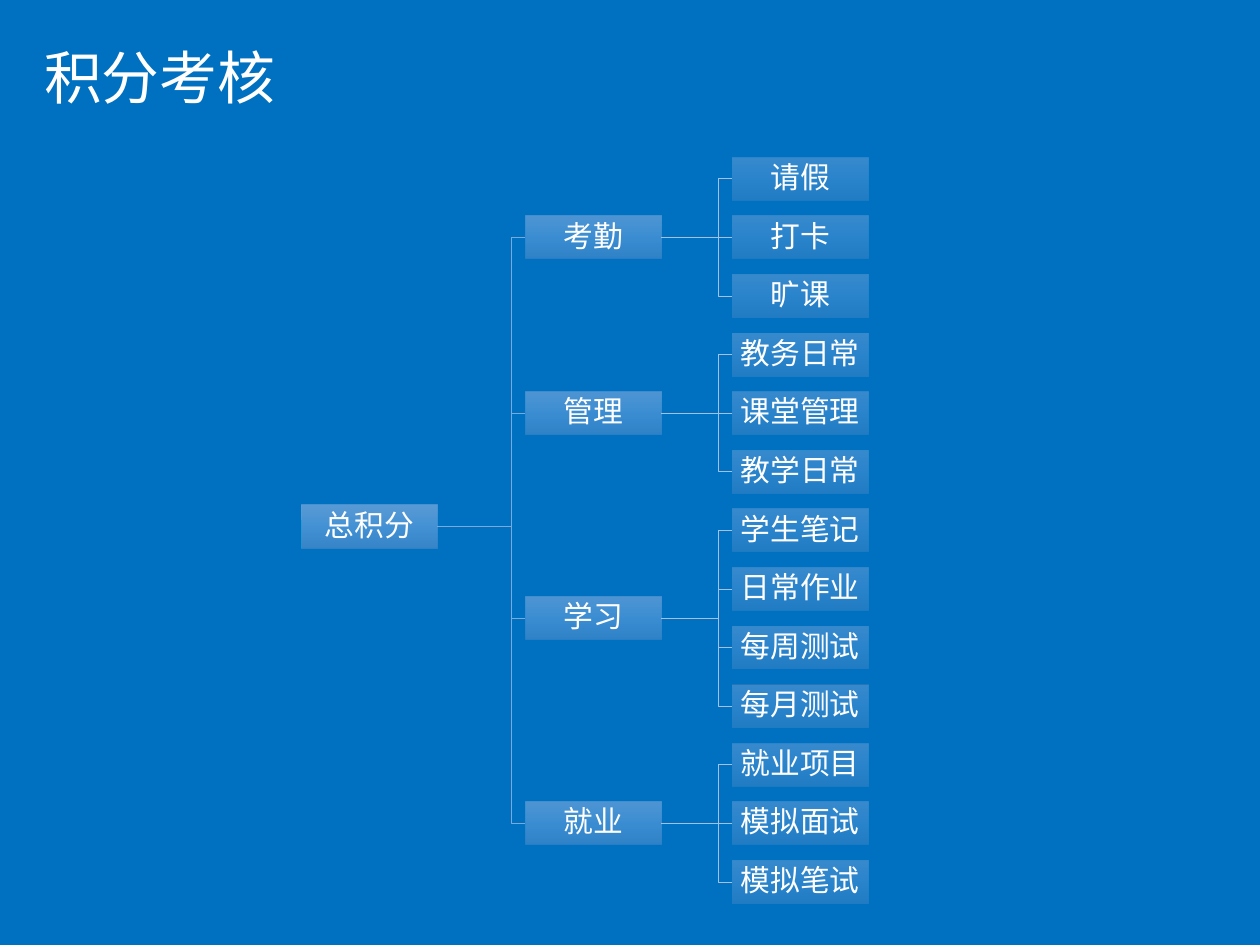
from lxml import etree
from pptx import Presentation
from pptx import util as u
from pptx.dml.color import RGBColor
from pptx.enum import shapes, text
from pptx.oxml import parse_xml
from pptx.oxml.ns import nsdecls, qn

# Content
TITLE = "积分考核"
ROOT = "总积分"
BRANCHES = [
    ("考勤", ["请假", "打卡", "旷课"]),
    ("管理", ["教务日常", "课堂管理", "教学日常"]),
    ("学习", ["学生笔记", "日常作业", "每周测试", "每月测试"]),
    ("就业", ["就业项目", "模拟面试", "模拟笔试"]),
]

# Style and grid, in inches
FONT = "Noto Sans CJK SC"
COLORS = {
    "background": "0070C0", "text": "FFFFFF",
    "root_line": "7AA9DA", "branch_line": "A5C0E3",
    "box_top": "71A6DB", "box_middle": "559BDB", "box_bottom": "448ACA",
}
BOX_WIDTH, BOX_HEIGHT = 1.08, 0.34
ROOT_LEFT, BRANCH_LEFT, LEAF_LEFT = 2.39, 4.17, 5.81
ROOT_OPACITY, BRANCH_OPACITY, LEAF_OPACITY = 80, 70, 50
ROOT_CENTER = 4.18
FIRST_LEAF_CENTER, LEAF_PITCH = 1.42, 0.465
BEND_GAP = 0.11  # from the bend to the box on its right


def color(name):
    return RGBColor.from_string(COLORS[name])


def add_text(frame, words, size):
    frame.vertical_anchor = text.MSO_ANCHOR.MIDDLE
    paragraph = frame.paragraphs[0]
    paragraph.line_spacing = 0.9
    run = paragraph.add_run()
    run.text = words
    run.font.size = u.Pt(size)
    run.font.name = FONT
    run.font.color.rgb = color("text")
    east_asian = etree.SubElement(run.font._element, qn("a:ea"))
    east_asian.set("typeface", FONT)
    return paragraph


def set_gradient(shape, opacity):
    stops = "".join(
        f'<a:gs pos="{position * 1000}"><a:srgbClr val="{COLORS[name]}">'
        f'<a:alpha val="{opacity * 1000}"/></a:srgbClr></a:gs>'
        for position, name in [(0, "box_top"), (50, "box_middle"), (100, "box_bottom")]
    )
    gradient = parse_xml(
        f'<a:gradFill {nsdecls("a")} rotWithShape="1"><a:gsLst>{stops}</a:gsLst>'
        '<a:lin ang="5400000" scaled="0"/></a:gradFill>'
    )
    shape._element.spPr.find(qn("a:prstGeom")).addnext(gradient)


def add_box(slide, words, left, center, opacity):
    shape = slide.shapes.add_shape(
        shapes.MSO_SHAPE.RECTANGLE, u.Inches(left), u.Inches(center - BOX_HEIGHT / 2),
        u.Inches(BOX_WIDTH), u.Inches(BOX_HEIGHT))
    shape.shadow.inherit = False
    shape.line.fill.background()
    set_gradient(shape, opacity)
    frame = shape.text_frame
    frame.word_wrap = True
    frame.margin_left = frame.margin_right = u.Inches(0.01)
    frame.margin_top = frame.margin_bottom = u.Inches(0.01)
    paragraph = add_text(frame, words, 17)
    paragraph.alignment = text.PP_ALIGN.CENTER
    paragraph.space_after = u.Pt(6)
    return shape


def join(slide, parent, child, line_color):
    """Line from the right side of parent to the left side of child."""
    start_x, start_y = parent.left + parent.width, parent.top + parent.height // 2
    end_x, end_y = child.left, child.top + child.height // 2
    if abs(end_y - start_y) < u.Inches(0.01):
        line = slide.shapes.add_connector(
            shapes.MSO_CONNECTOR.STRAIGHT, start_x, start_y, end_x, end_y)
        line.begin_connect(parent, 3)
        line.end_connect(child, 1)
        etree.SubElement(line._element.spPr, qn("a:effectLst"))
    else:
        bend_x = end_x - u.Inches(BEND_GAP)
        builder = slide.shapes.build_freeform(start_x, start_y)
        builder.add_line_segments(
            [(bend_x, start_y), (bend_x, end_y), (end_x, end_y)], close=False)
        line = builder.convert_to_shape()
        line.fill.background()
        line.shadow.inherit = False
    line.line.color.rgb = color(line_color)
    line.line.width = u.Pt(0.5)


def main():
    presentation = Presentation()
    presentation.slide_width, presentation.slide_height = u.Inches(10), u.Inches(7.5)
    slide = presentation.slides.add_slide(presentation.slide_layouts[5])
    slide.background.fill.solid()
    slide.background.fill.fore_color.rgb = color("background")

    # Title
    title = slide.shapes.title
    title.left, title.top = u.Inches(0.25), u.Inches(0.25)
    title.width, title.height = u.Inches(8.62), u.Inches(0.78)
    add_text(title.text_frame, TITLE, 33).alignment = text.PP_ALIGN.LEFT

    # Tree: each branch is centred on its leaves
    root = add_box(slide, ROOT, ROOT_LEFT, ROOT_CENTER, ROOT_OPACITY)
    row = 0
    for name, leaves in BRANCHES:
        centers = [FIRST_LEAF_CENTER + (row + i) * LEAF_PITCH for i in range(len(leaves))]
        row += len(leaves)
        branch = add_box(
            slide, name, BRANCH_LEFT, (centers[0] + centers[-1]) / 2, BRANCH_OPACITY)
        join(slide, root, branch, "root_line")
        for leaf_name, center in zip(leaves, centers):
            leaf = add_box(slide, leaf_name, LEAF_LEFT, center, LEAF_OPACITY)
            join(slide, branch, leaf, "branch_line")

    presentation.save("out.pptx")


if __name__ == "__main__":
    main()
